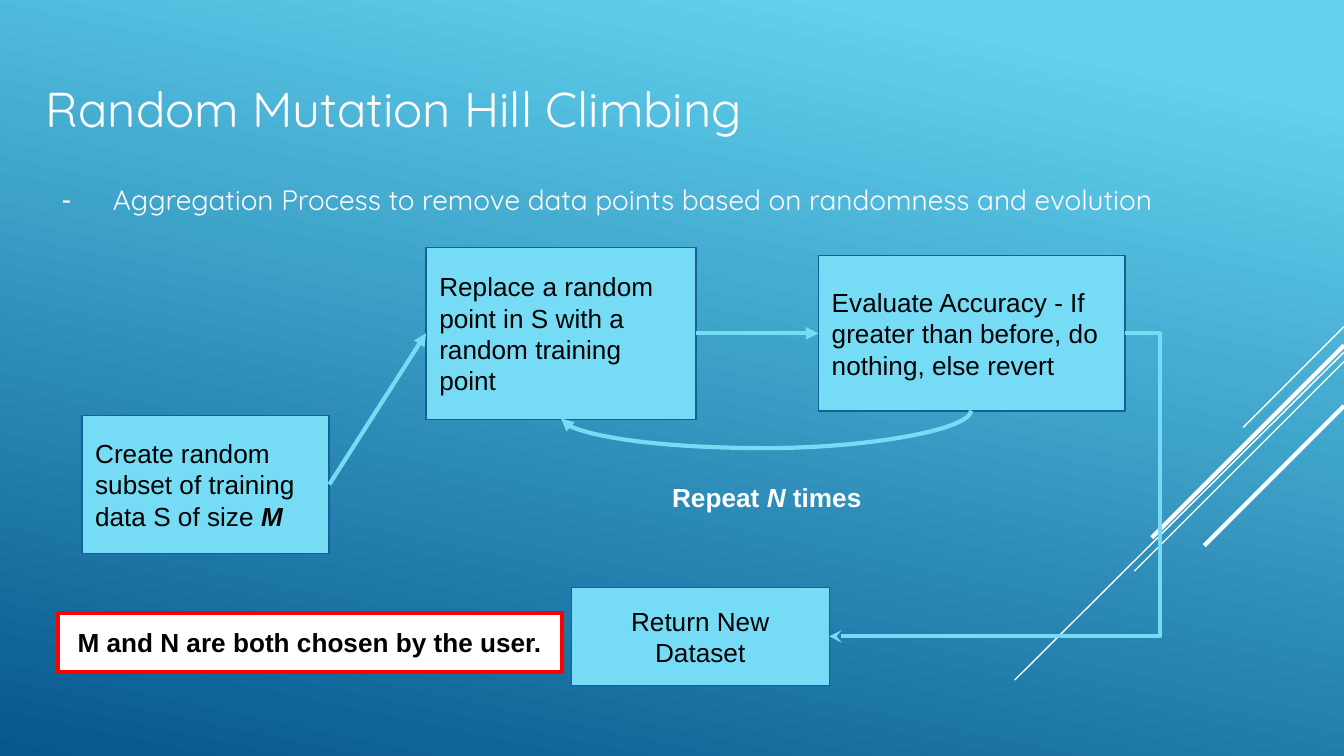
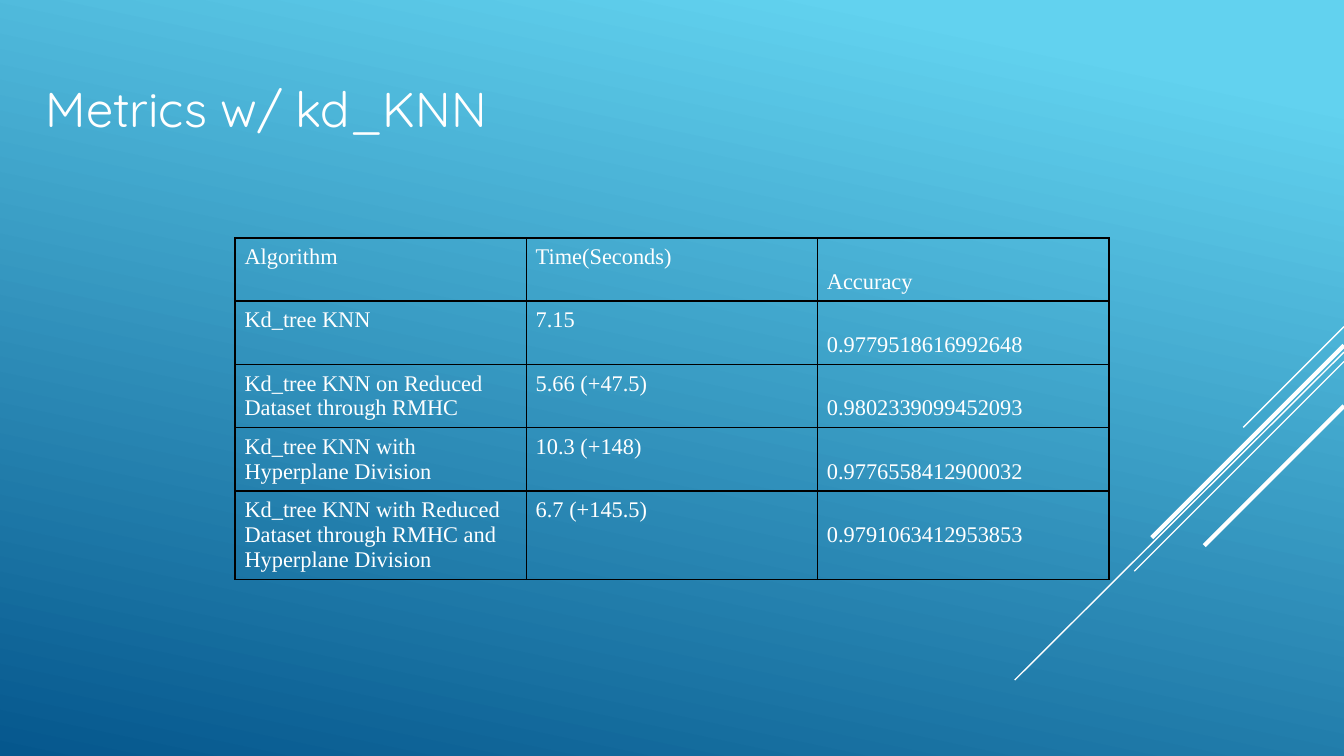
"""Build two slides on hill climbing and its test scores."""
from lxml.etree import SubElement as Sub
from pptx import Presentation
from pptx.dml.color import RGBColor as Rgb
from pptx.enum.shapes import MSO_CONNECTOR as Kind, MSO_SHAPE as Form
from pptx.enum.text import MSO_ANCHOR as Anchor, MSO_AUTO_SIZE as Auto, PP_ALIGN as Align
from pptx.oxml.ns import qn
from pptx.util import Inches, Pt

HUES = {"sky": "62D2EF", "deep": "05578D", "box": "76DBF4", "edge": "146194",
        "white": "FFFFFF", "black": "000000", "red": "FF0000"}
HEAD, BODY, CELL = "Quicksand", "Arial", "Times New Roman"
RAYS = [(2.43, 9.25, 3.18, 0.75), (2.62, 7.55, 5.06, 0.75), (2.69, 8.44, 4.25, 0.75),
        (2.57, 8.57, 4, 2.25), (3.02, 8.96, 4.06, 2.25)]
RIGHT, LEFT = 3, 1
SCORES = [
    ("Algorithm", "Time(Seconds)", "Accuracy"),
    ("Kd_tree KNN", "7.15", "0.9779518616992648"),
    ("Kd_tree KNN on Reduced Dataset through RMHC", "5.66 (+47.5)", "0.9802339099452093"),
    ("Kd_tree KNN with Hyperplane Division", "10.3 (+148)", "0.9776558412900032"),
    ("Kd_tree KNN with Reduced Dataset through RMHC and Hyperplane Division",
     "6.7 (+145.5)", "0.9791063412953853"),
]


def tint(name):
    """Look up a colour."""
    return Rgb.from_string(HUES[name])


def style(para, face, size, hue="black", bold=False):
    """Set the font of a paragraph."""
    font = para.font
    font.name, font.size, font.bold = face, Pt(size), bold
    font.color.rgb = tint(hue)


def place(shape, left, top, width, height):
    """Move and size a shape."""
    shape.left, shape.top = Inches(left), Inches(top)
    shape.width, shape.height = Inches(width), Inches(height)


def pad(frame, side, anchor):
    """Set wrap, insets and anchor of a text frame."""
    frame.word_wrap, frame.auto_size = True, Auto.NONE
    frame.vertical_anchor = anchor
    frame.margin_left = frame.margin_right = Inches(side)
    frame.margin_top = frame.margin_bottom = Inches(0.1)


def holder(shape, spot, text, anchor):
    """Fill a placeholder and return its paragraph."""
    place(shape, *spot)
    frame = shape.text_frame
    pad(frame, 0, anchor)
    frame.text = text
    para = frame.paragraphs[0]
    para.alignment, para.space_before = Align.LEFT, Pt(0)
    return para


def page(prs, layout, title):
    """Add a slide with its title."""
    slide = prs.slides.add_slide(prs.slide_layouts[layout])
    para = holder(slide.shapes.title, (0.34, 0.49, 9.32, 0.63), title, Anchor.MIDDLE)
    style(para, HEAD, 26.2, "white")
    return slide


def bullet(slide, text):
    """Write the dashed list item in the body."""
    para = holder(slide.placeholders[1], (0.34, 1.26, 9.32, 3.74), text, Anchor.TOP)
    props = para._p.get_or_add_pPr()
    props.set("marL", str(Inches(0.5)))
    props.set("indent", str(Inches(-0.38)))
    Sub(Sub(props, qn("a:buClr")), qn("a:srgbClr"), val=HUES["white"])
    Sub(props, qn("a:buChar"), char="-")
    style(para, HEAD, 15, "white")


def write(shape, parts, align, hue="black", bold=False):
    """Write runs, each a text and whether it is a bold italic symbol."""
    pad(shape.text_frame, 0.1, Anchor.MIDDLE)
    para = shape.text_frame.paragraphs[0]
    para.alignment = align
    style(para, BODY, 14, hue, bold)
    for text, symbol in parts:
        run = para.add_run()
        run.text = text
        if symbol:
            run.font.bold = run.font.italic = True


def box(slide, spot, parts, align=Align.LEFT, fill="box", edge="edge", width=0.75, bold=False):
    """Add a framed box with text."""
    shape = slide.shapes.add_shape(Form.RECTANGLE, *map(Inches, spot))
    shape.shadow.inherit = False
    shape.fill.solid()
    shape.fill.fore_color.rgb = tint(fill)
    shape.line.color.rgb, shape.line.width = tint(edge), Pt(width)
    write(shape, parts, align, bold=bold)
    return shape


def stroke(slide, kind, ends, hue, width, tip=None, bend=None):
    """Add a line with an optional tip and bend."""
    line = slide.shapes.add_connector(kind, *map(Inches, ends))
    line.line.color.rgb, line.line.width = tint(hue), Pt(width)
    props = line.element.spPr
    if tip:
        Sub(props.find(qn("a:ln")), qn("a:tailEnd"), type=tip)
    if bend is not None:
        guides = props.find(qn("a:prstGeom")).find(qn("a:avLst"))
        Sub(guides, qn("a:gd"), name="adj1", fmla=f"val {bend}")
    Sub(props, qn("a:effectLst"))
    return line


def join(slide, start, end, site, kind=Kind.STRAIGHT, tip="triangle", bend=None):
    """Link the right side of one box to a side of the next."""
    line = stroke(slide, kind, (0, 0, 0, 0), "box", 2.25, tip, bend)
    line.begin_connect(start, RIGHT)
    line.end_connect(end, site)


def loop(slide):
    """Draw the curved arrow back to the replace step."""
    line = stroke(slide, Kind.CURVE, (5.67, 1.56, 5.73, 4.61), "box", 2.25, "triangle", 467300)
    line.element.spPr.find(qn("a:xfrm")).set("rot", str(90 * 60000))


def theme(prs, slide):
    """Give the master its backdrop and rays."""
    master = prs.slide_master
    fill = master.background.fill
    fill.gradient()
    fill.gradient_angle = 360 - 102
    for stop, name, spot in zip(fill.gradient_stops, ("sky", "deep"), (0.1, 1)):
        stop.color.rgb, stop.position = tint(name), spot
    for num, (top, left, low, width) in enumerate(RAYS, 20):
        ray = stroke(slide, Kind.STRAIGHT, (10, top, left, low), "white", width)
        ray.element.nvCxnSpPr.cNvPr.set("id", str(num))
        master.shapes.element.append(ray.element)


def border(cell):
    """Draw the four edges of a cell."""
    props = cell._tc.get_or_add_tcPr()
    for side in ("lnL", "lnR", "lnT", "lnB"):
        edge = Sub(props, qn(f"a:{side}"), w=str(Pt(0.96)))
        Sub(Sub(edge, qn("a:solidFill")), qn("a:srgbClr"), val=HUES["black"])


def grid(slide, rows):
    """Add the table of scores."""
    wide = len(rows[0])
    spot = map(Inches, (1.75, 1.77, 6.5, 2.54))
    table = slide.shapes.add_table(len(rows), wide, *spot).table
    table.first_row = table.horz_banding = False
    for r, row in enumerate(rows):
        table.rows[r].height = Inches(0.66 if r == len(rows) - 1 else 0.47)
        for c, text in enumerate(row):
            cell = table.cell(r, c)
            border(cell)
            cell.fill.background()
            cell.margin_left = cell.margin_right = Inches(0.07)
            cell.margin_top = cell.margin_bottom = Inches(0.05)
            cell.text = text
            para = cell.text_frame.paragraphs[0]
            if c == wide - 1:
                para.line_spacing = 2.0
            style(para, CELL, 12, "white")


def climb(slide):
    """Draw the flow of the hill climbing slide."""
    bullet(slide, "Aggregation Process to remove data points based on randomness and evolution")
    make = box(slide, (0.61, 3.09, 1.84, 1.03),
               [("Create random subset of training data S of size ", False), ("M", True)])
    swap = box(slide, (3.17, 1.84, 2.01, 1.28),
               [("Replace a random point in S with a random training point", False)])
    test = box(slide, (6.09, 1.9, 2.28, 1.16),
               [("Evaluate Accuracy - If greater than before, do nothing, else revert", False)])
    join(slide, make, swap, LEFT)
    join(slide, swap, test, LEFT)
    loop(slide)
    note = slide.shapes.add_textbox(*map(Inches, (4.7, 3.48, 2.01, 0.44)))
    write(note, [("Repeat ", False), ("N", True), (" times", False)], Align.CENTER, "white", True)
    done = box(slide, (4.25, 4.37, 1.92, 0.73), [("Return New Dataset", False)], Align.CENTER)
    join(slide, test, done, RIGHT, Kind.ELBOW, "stealth", -11800)
    box(slide, (0.43, 4.56, 3.75, 0.44), [("M and N are both chosen by the user.", False)],
        Align.CENTER, "white", "red", 2.25, True)


def main():
    """Build and save the slides."""
    prs = Presentation()
    prs.slide_width = Inches(10)
    prs.slide_height = prs.slide_width * 9 // 16
    first = page(prs, 1, "Random Mutation Hill Climbing")
    theme(prs, first)
    climb(first)
    grid(page(prs, 5, "Metrics w/ kd_KNN"), SCORES)
    prs.save("out.pptx")


if __name__ == "__main__":
    main()
